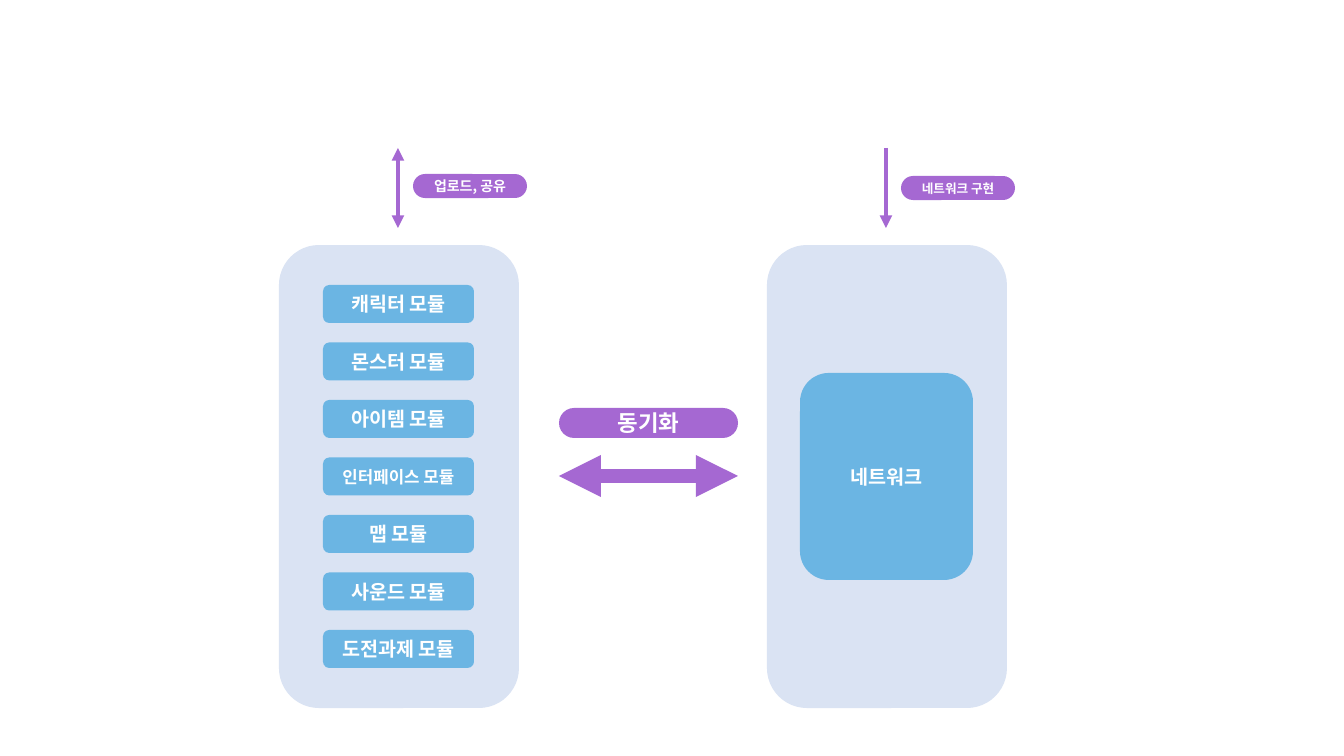
from lxml import etree
from pptx import Presentation
from pptx import util as u
from pptx.dml.color import RGBColor
from pptx.enum import shapes, text
from pptx.oxml import ns

PIXEL = 914400 / 100.8
FONT = "Noto Sans CJK KR"
WHITE, PANEL, BLUE, PURPLE = "FFFFFF", "DAE3F3", "6BB5E3", "A568D2"


def color(value):
    return RGBColor.from_string(value)


def add_box(left, top, width, height, fill, label="", size=14, rounding=0.1667):
    box = slide.shapes.add_shape(
        shapes.MSO_SHAPE.ROUNDED_RECTANGLE,
        *[round(length * PIXEL) for length in (left, top, width, height)])
    box.adjustments[0] = rounding
    box.shadow.inherit = False
    box.fill.solid()
    box.fill.fore_color.rgb = color(fill)
    box.line.fill.background()
    if not label:
        return
    frame = box.text_frame
    frame.margin_left = frame.margin_right = frame.margin_top = frame.margin_bottom = 0
    frame.vertical_anchor = text.MSO_ANCHOR.MIDDLE
    frame.text = label
    paragraph = frame.paragraphs[0]
    paragraph.alignment = text.PP_ALIGN.CENTER
    run = paragraph.runs[0]
    run.font.name = FONT
    run.font.size = u.Pt(size)
    run.font.bold = True
    run.font.color.rgb = color(WHITE)
    east_asian = etree.SubElement(run.font._element, ns.qn("a:ea"))
    east_asian.set("typeface", FONT)


presentation = Presentation()
presentation.slide_width = round(1344 * PIXEL)
presentation.slide_height = round(756 * PIXEL)
slide = presentation.slides.add_slide(presentation.slide_layouts[6])

for panel_left in (279, 767):
    add_box(panel_left, 245, 240, 463, PANEL)

modules = ["캐릭터 모듈", "몬스터 모듈", "아이템 모듈", "인터페이스 모듈",
           "맵 모듈", "사운드 모듈", "도전과제 모듈"]
for row, module in enumerate(modules):
    add_box(323, 285 + row * 57.5, 151, 38, BLUE, module,
            size=12 if module == "인터페이스 모듈" else 14)

add_box(800, 373, 173, 207, BLUE, "네트워크")

pills = [
    (559, 408, 179, 30, "동기화", 16),
    (413, 174, 114, 24, "업로드, 공유", 10),
    (901, 176, 114, 24, "네트워크 구현", 9),
]
for left, top, width, height, label, size in pills:
    add_box(left, top, width, height, PURPLE, label, size, rounding=0.5)

arrows = [
    (559, 476, 738, 476, 10, ("headEnd", "tailEnd")),
    (398, 148, 398, 228, 3, ("headEnd", "tailEnd")),
    (886, 148, 886, 228, 3, ("tailEnd",)),
]
for start_x, start_y, end_x, end_y, weight, ends in arrows:
    arrow = slide.shapes.add_connector(
        shapes.MSO_CONNECTOR.STRAIGHT,
        *[round(length * PIXEL) for length in (start_x, start_y, end_x, end_y)])
    arrow.line.color.rgb = color(PURPLE)
    arrow.line.width = u.Pt(weight)
    properties = arrow._element.spPr
    outline = properties.find(ns.qn("a:ln"))
    for end in ends:
        etree.SubElement(outline, ns.qn(f"a:{end}")).set("type", "triangle")
    etree.SubElement(properties, ns.qn("a:effectLst"))

presentation.save("out.pptx")
